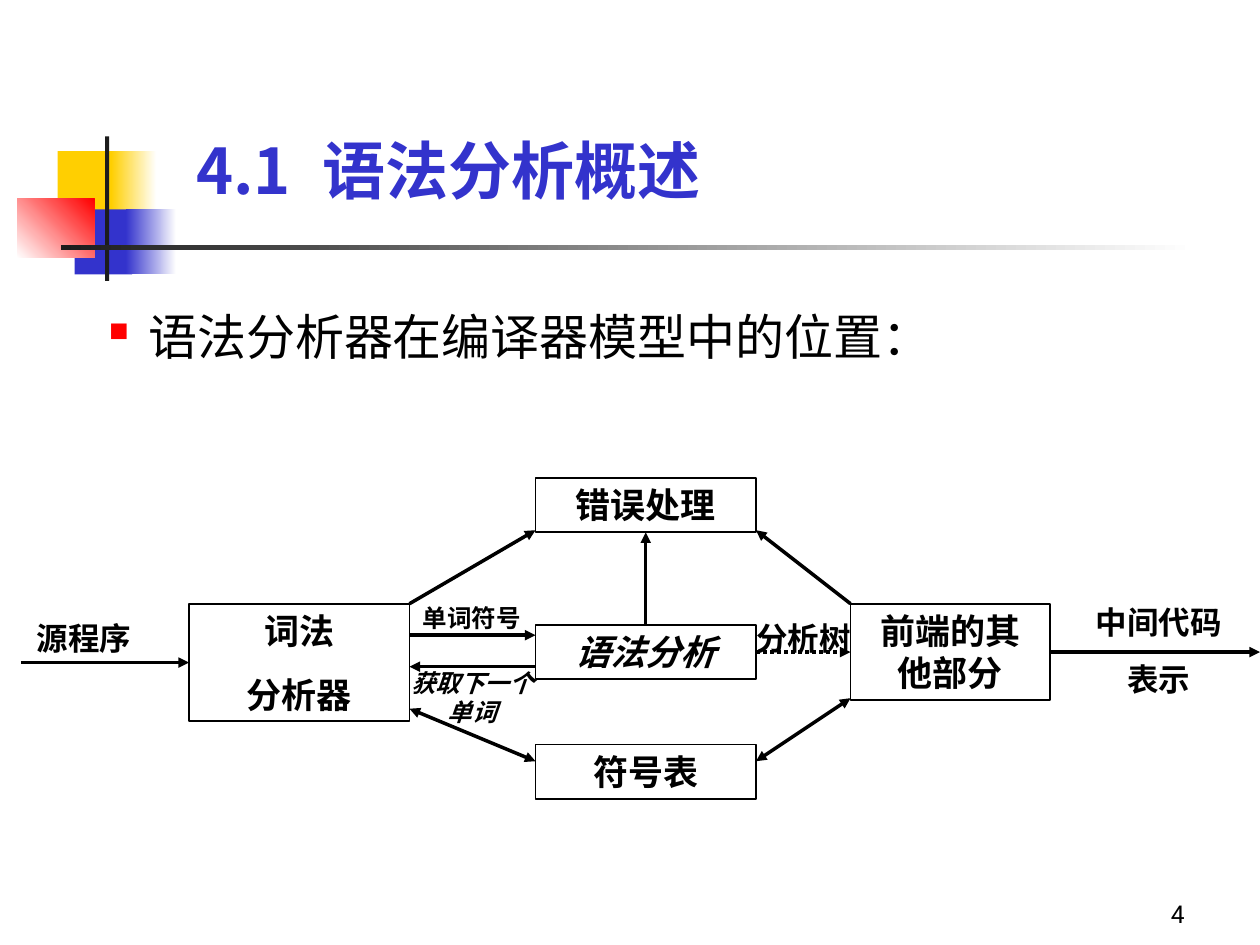
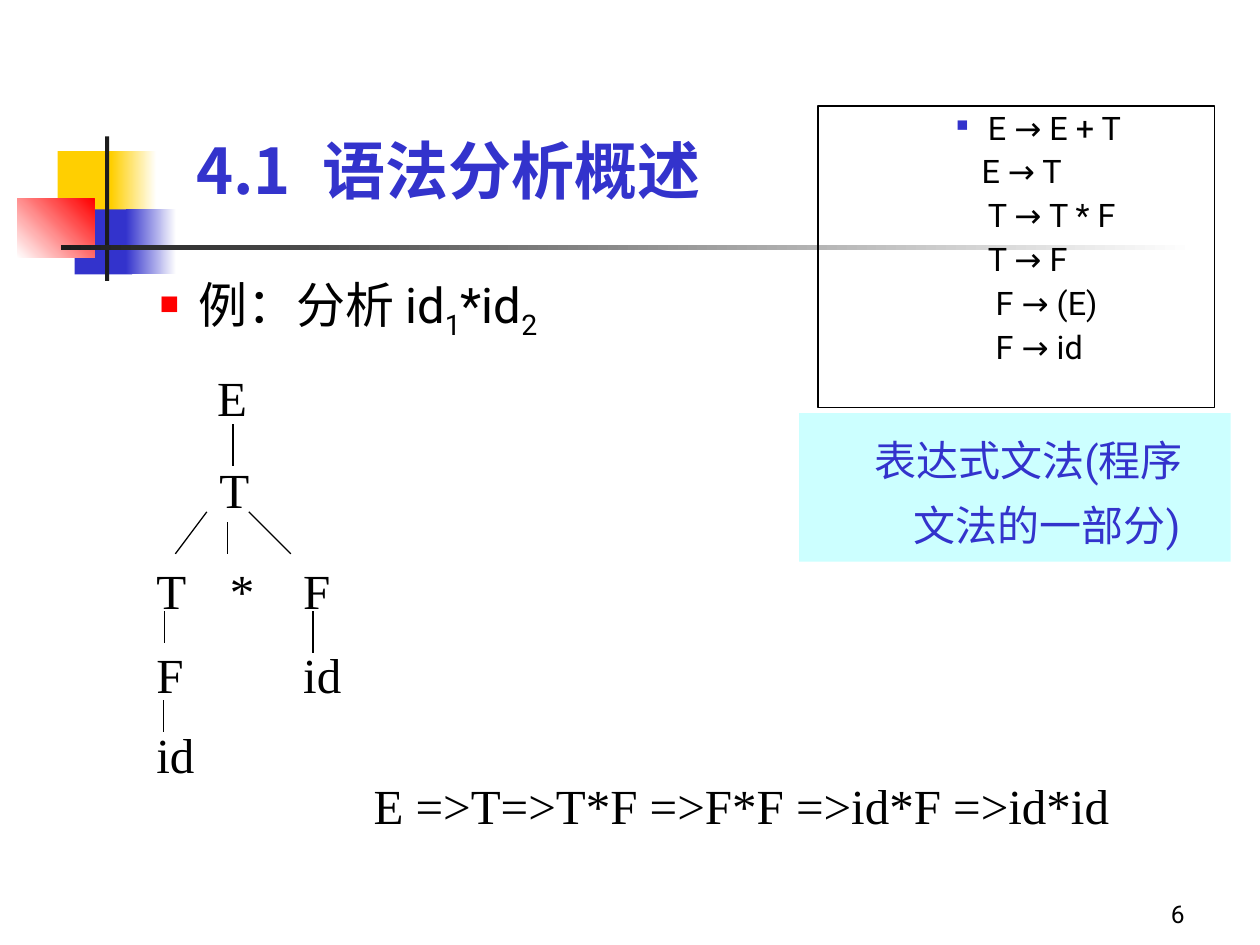
from lxml import etree
from pptx import Presentation
from pptx.dml.color import RGBColor
from pptx.enum.dml import MSO_LINE
from pptx.enum.shapes import MSO_CONNECTOR, MSO_SHAPE
from pptx.enum.text import MSO_ANCHOR, PP_ALIGN
from pptx.oxml.ns import qn
from pptx.util import Inches, Pt

LEFT, CENTER, RIGHT = PP_ALIGN.LEFT, PP_ALIGN.CENTER, PP_ALIGN.RIGHT
ANCHOR_TOP, ANCHOR_BOTTOM = MSO_ANCHOR.TOP, MSO_ANCHOR.BOTTOM
RECTANGLE, STRAIGHT, DOTTED = MSO_SHAPE.RECTANGLE, MSO_CONNECTOR.STRAIGHT, MSO_LINE.ROUND_DOT
SIDE_TOP, SIDE_LEFT, SIDE_BOTTOM, SIDE_RIGHT = range(4)

COLORS = {
    "white": "FFFFFF", "black": "000000", "ink": "1C1C1C", "yellow": "FFCF01",
    "blue": "3333CC", "red": "FF0000", "cyan": "CCFFFF",
}
SANS, SERIF, CJK = "Roboto", "Times New Roman", "Noto Sans CJK SC"
GRID_COLUMNS, GRID_ROWS = 120, 90
TITLE = "4.1\t语法分析概述"


def color(name):
    return RGBColor.from_string(COLORS[name])


def add_element(parent, tag, **attributes):
    element = etree.SubElement(parent, qn(tag))
    for name, value in attributes.items():
        element.set(name, str(value))
    return element


def write(box, text, size=28, font=SERIF, ink="black", bold=False, italic=False,
          align=LEFT, anchor=ANCHOR_TOP, before=0, spacing=None,
          margins=(0,), hanging=0, bullet=None, bullet_size=55, tab=None):
    frame = box.text_frame
    frame.word_wrap = True
    frame.vertical_anchor = anchor
    for index, line in enumerate(text.split("\n")):
        para = frame.add_paragraph() if index else frame.paragraphs[0]
        para.alignment = align
        para.space_before = Pt(before if index else 0)
        if spacing:
            para.line_spacing = spacing
        properties = para._p.get_or_add_pPr()
        properties.set("marL", str(int(margins[index % len(margins)])))
        has_bullet = bullet and index == 0
        if has_bullet:
            add_element(add_element(properties, "a:buClr"), "a:srgbClr", val=COLORS[bullet])
            add_element(properties, "a:buSzPct", val=bullet_size * 1000)
            add_element(properties, "a:buChar", char="■")
        else:
            add_element(properties, "a:buNone")
        if has_bullet or not bullet:
            properties.set("indent", str(-int(hanging)))
        if tab:
            add_element(add_element(properties, "a:tabLst"), "a:tab", pos=int(tab), algn="l")
        for part, piece in enumerate(line.split("~")):
            if not piece:
                continue
            span = para.add_run()
            span.text = piece
            span.font.size = Pt(size)
            span.font.name = font
            span.font.bold = bold
            span.font.italic = italic
            span.font.color.rgb = color(ink)
            settings = span._r.get_or_add_rPr()
            add_element(settings, "a:ea", typeface=CJK)
            if part % 2:
                settings.set("baseline", "-25000")


class SlideBuilder:
    def __init__(self, deck):
        self.deck = deck
        self.column = deck.slide_width / GRID_COLUMNS
        self.row = deck.slide_height / GRID_ROWS
        self.page = None

    def place(self, *lengths):
        units = (self.column, self.row) * 2
        return [round(length * unit) for length, unit in zip(lengths, units)]

    def columns(self, count):
        return round(count * self.column)

    def start(self, number):
        self.page = self.deck.slides.add_slide(self.deck.slide_layouts[6])
        self.rectangle((5.5, 14.4, 5.8, 6.2), fill="yellow")
        self.rectangle((10.6, 14.4, 4.3, 6.2), blend=("yellow", "white"))
        self.rectangle((7.1, 19.95, 5.5, 6.2), fill="blue")
        self.rectangle((12, 19.95, 4.8, 6.2), blend=("blue", "white"))
        self.rectangle((1.65, 18.95, 7.35, 5.6), blend=("white", "red"), angle=45)
        self.rectangle((10, 13, 0.4, 13.75), fill="ink")
        self.rectangle((5.8, 23.35, 108, 0.42), blend=("ink", "white"))
        self.text((89, 83, 25, 6), number, size=14, font=SANS, align=RIGHT, anchor=ANCHOR_BOTTOM)
        self.text((17.5, 9.15, 89.5, 11.15), TITLE, size=36, font=CJK, ink="blue", bold=True,
                  anchor=ANCHOR_BOTTOM, tab=self.columns(13.1))

    def rectangle(self, area, text="", fill=None, blend=None, angle=0, outline=None, **style):
        box = self.page.shapes.add_shape(RECTANGLE, *self.place(*area))
        box.shadow.inherit = False
        if blend:
            box.fill.gradient()
            box.fill.gradient_angle = angle
            for stop, name in zip(box.fill.gradient_stops, blend):
                stop.color.rgb = color(name)
        elif fill:
            box.fill.solid()
            box.fill.fore_color.rgb = color(fill)
        else:
            box.fill.background()
        if outline:
            box.line.color.rgb = color("black")
            box.line.width = Pt(outline)
        else:
            box.line.fill.background()
        if text:
            write(box, text, **style)
        return box

    def text(self, area, text, **style):
        box = self.page.shapes.add_textbox(*self.place(*area))
        write(box, text, **style)
        return box

    def bullet(self, area, text, **style):
        self.text(area, text, font=SANS, bullet="red", margins=(self.columns(9.75),),
                  hanging=self.columns(3.75), **style)

    def line(self, start, end, width=0.75, head=False, tail=False, dash=None,
             begin=None, finish=None):
        line = self.page.shapes.add_connector(STRAIGHT, *self.place(*start, *end))
        if begin:
            line.begin_connect(*begin)
        if finish:
            line.end_connect(*finish)
        line.line.color.rgb = color("black")
        line.line.width = Pt(width)
        if dash:
            line.line.dash_style = dash
        outline = line.line._get_or_add_ln()
        for tag, wanted in (("a:headEnd", head), ("a:tailEnd", tail)):
            if wanted:
                add_element(outline, tag, type="triangle")
        add_element(line._element.spPr, "a:effectLst")

    def arrow(self, start, end, **style):
        self.line(start, end, width=2, tail=True, **style)


def build_compiler_model(slide):
    slide.start("4")
    block = dict(outline=1, size=20, bold=True, align=CENTER, before=12.5)
    errors = slide.rectangle((51, 45.5, 21, 5.2), "错误处理", **block)
    lexer = slide.rectangle((18, 57.5, 21, 11.2), "词法\n分析器", **block)
    parser = slide.rectangle((51, 59.5, 21, 5.2), "语法分析", italic=True, **block)
    front_end = slide.rectangle((81, 57.5, 19, 9.2), "前端的其他部分", **block)
    slide.rectangle((51, 70.9, 21, 5.2), "符号表", **block)

    slide.arrow((39, 60.5), (51, 60.5))
    slide.arrow((51, 63.5), (39, 63.5))
    slide.arrow((39, 57.5), (51, 50.5))
    slide.arrow((81, 57.5), (72, 50.5))
    slide.arrow((39, 67.5), (51, 72.5), head=True)
    slide.arrow((72, 72.5), (81, 66.5), head=True)
    slide.arrow((61.5, 59.5), (61.5, 50.7), begin=(parser, SIDE_TOP), finish=(errors, SIDE_BOTTOM))
    slide.arrow((72, 62.1), (81, 62.1), dash=DOTTED,
                begin=(parser, SIDE_RIGHT), finish=(front_end, SIDE_LEFT))
    slide.arrow((2, 63.1), (18, 63.1), finish=(lexer, SIDE_LEFT))
    slide.arrow((100, 62.1), (120, 62.1), begin=(front_end, SIDE_RIGHT))

    label = dict(bold=True, align=CENTER)
    slide.text((100.7, 56.8, 19.3, 10.3), "中间代码\n表示", size=18, before=11.2, **label)
    slide.text((0, 58.4, 16, 4.8), "源程序", size=18, **label)
    slide.text((70, 58.4, 13, 4.8), "分析树", size=18, **label)
    slide.text((37, 63, 16, 6.8), "获取下一个单词", size=14, italic=True, **label)
    slide.text((37.7, 56.8, 14.5, 4.1), "单词符号", size=14, **label)
    slide.bullet((3.2, 28, 102, 9.5), "语法分析器在编译器模型中的位置：", spacing=1.1)


def build_parse_example(slide):
    slide.start("6")
    slide.bullet((8, 24.25, 53, 9.5), "例：分析 id~1~*id~2~", spacing=1.2)
    rules = ["E → E + T", "E → T", "T → T * F", "T → F", "F → (E)", "F → id"]
    margins = [slide.columns(count) for count in (15, 14.4, 15, 15, 15.75, 15.75)]
    slide.rectangle((77.9, 10.1, 37.8, 28.7), "\n".join(rules), outline=0.75, size=18.5,
                    font=SANS, spacing=0.9, before=5, margins=margins,
                    hanging=slide.columns(3), bullet="blue", bullet_size=50)
    slide.rectangle((76.1, 39.35, 41.1, 14.15), "表达式文法(程序文法的一部分)", fill="cyan",
                    size=24, font=SANS, ink="blue", spacing=1.3,
                    margins=(slide.columns(9.75),), hanging=slide.columns(3.75))

    left, middle, right = (13.7 + 7 * step for step in range(3))
    nodes = [
        ("E", 19.5, 34.4), ("T", 19.7, 43.2),
        ("T", left, 52.8), ("*", middle, 52.8), ("F", right, 52.8),
        ("F", left, 60.8), ("id", right, 60.8), ("id", left, 68.4),
    ]
    for symbol, column, row in nodes:
        slide.text((column, row, 8, 6.8), symbol)
    branches = [
        ((22.2, 40.4), (22.2, 44.4)),
        ((19.7, 48.75), (16.7, 52.75)),
        ((21.7, 49.75), (21.7, 52.75)),
        ((23.7, 48.75), (27.7, 52.75)),
        ((15.7, 58.2), (15.7, 61.2)),
        ((15.6, 66.7), (15.6, 69.7)),
        ((29.8, 58.2), (29.8, 62.2)),
    ]
    for start, end in branches:
        slide.line(start, end)
    slide.text((34.4, 73.3, 76.6, 6.8), "E =>T=>T*F =>F*F =>id*F =>id*id")


def main():
    deck = Presentation()
    deck.slide_width, deck.slide_height = Inches(10), Inches(7.5)
    slide = SlideBuilder(deck)
    build_compiler_model(slide)
    build_parse_example(slide)
    deck.save("out.pptx")


if __name__ == "__main__":
    main()
